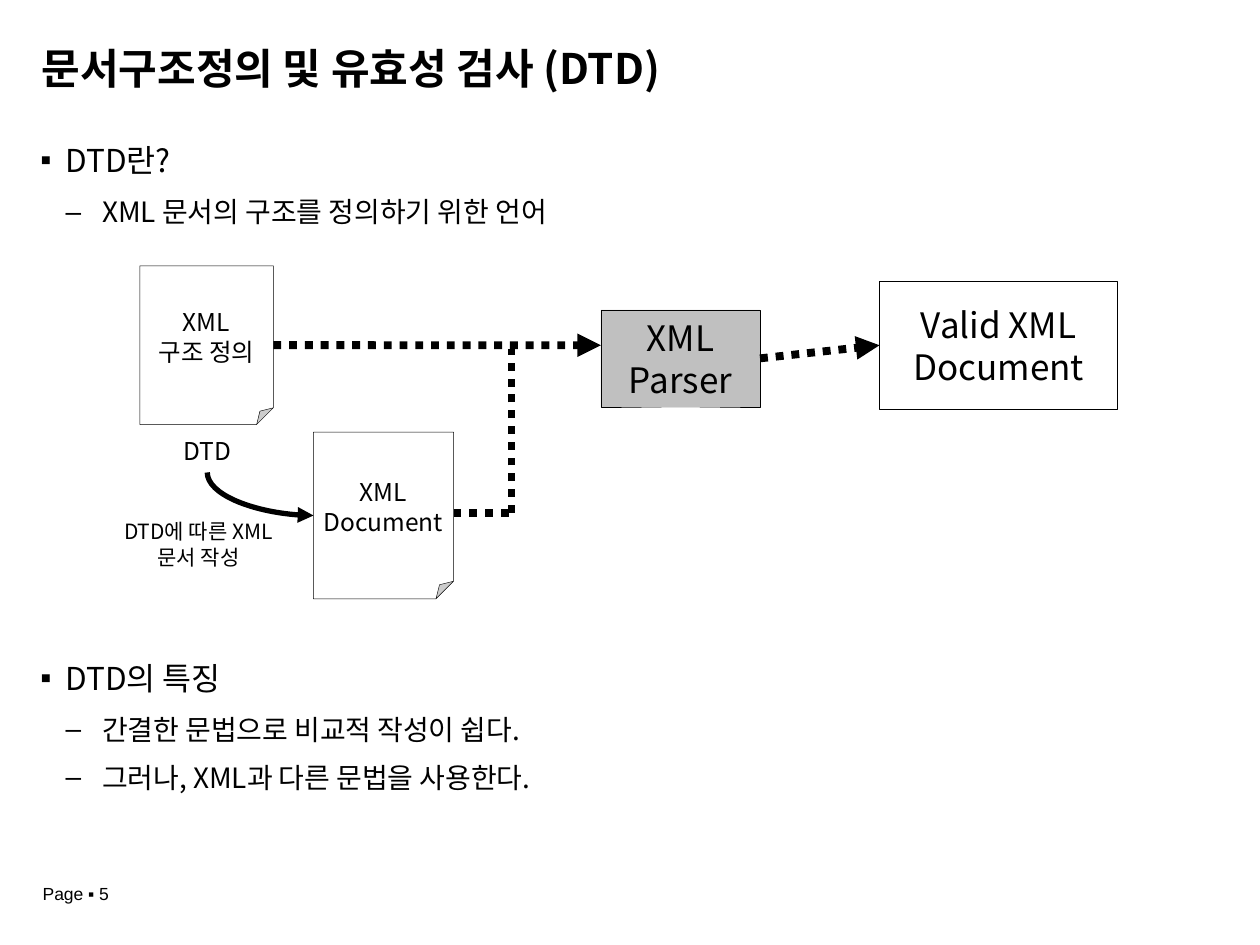
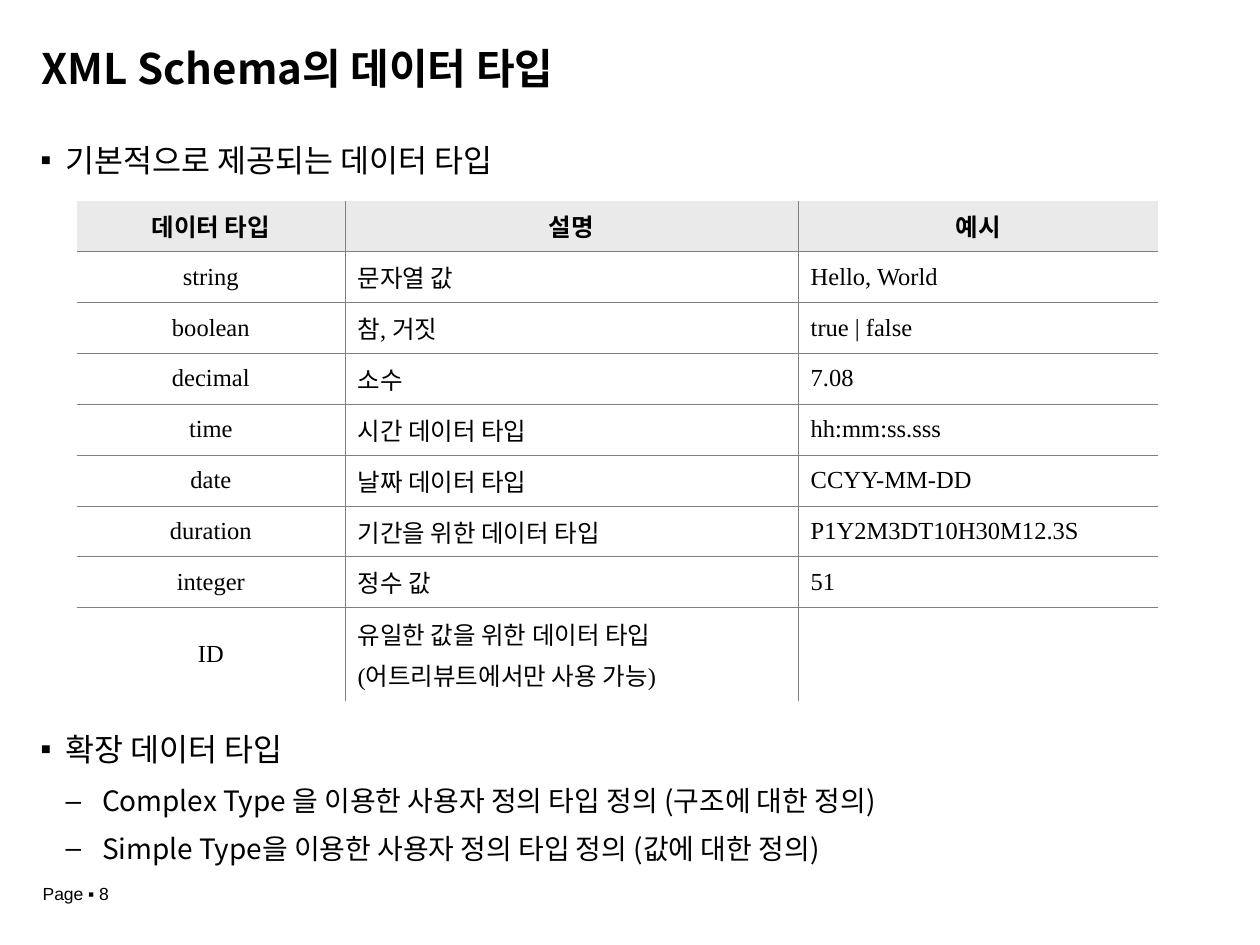
from dataclasses import dataclass
from typing import Optional

import pptx
import pptx.dml.color
import pptx.enum.dml
import pptx.enum.shapes
import pptx.enum.text
import pptx.oxml
import pptx.oxml.ns
import pptx.util
from lxml import etree

Pt = pptx.util.Pt
RGBColor = pptx.dml.color.RGBColor
SHAPE = pptx.enum.shapes.MSO_SHAPE
LINK = pptx.enum.shapes.MSO_CONNECTOR
ALIGN = pptx.enum.text.PP_ALIGN
ANCHOR = pptx.enum.text.MSO_ANCHOR
qn = pptx.oxml.ns.qn

# Shared look
BLACK = RGBColor(0, 0, 0)
WHITE = RGBColor(255, 255, 255)
PARSER_GRAY = RGBColor(0xC0, 0xC0, 0xC0)
HEADER_GRAY = RGBColor(0xEA, 0xEA, 0xEA)
GRID_GRAY = RGBColor(0x80, 0x80, 0x80)
KOREAN = "Noto Sans CJK KR"
SERIF = "Times New Roman"
SANS = "Arial"
BODY_LEFT, BODY_TOP, BODY_WIDTH = 23.04, 80.64, 671
LEFT, RIGHT = 1, 3


@dataclass
class Level:
    bullet: str
    size: float
    margin: float
    hanging: float
    after: float


LEVELS = (Level("▪", 18, 14.4, 14.4, 9), Level("–", 16, 35.3, 20.9, 8))


@dataclass
class Box:
    """A labelled node of the diagram; a box without a kind is plain text."""
    lines: tuple
    left: float
    top: float
    width: float
    height: float
    size: float
    kind: Optional[SHAPE] = None
    fill: RGBColor = WHITE
    anchor: ANCHOR = ANCHOR.MIDDLE
    wrap: bool = False


@dataclass
class Arrow:
    start: tuple
    end: tuple
    head: bool = True
    start_box: Optional[str] = None
    end_box: Optional[str] = None


def add_run(p, text: str, size: float, font: str = KOREAN, bold: bool = False) -> None:
    r = p.add_run()
    r.text = text
    r.font.size, r.font.name, r.font.bold = Pt(size), font, bold
    r.font.color.rgb = BLACK
    etree.SubElement(r.font._element, qn("a:ea")).set("typeface", KOREAN)


def next_paragraph(tf, index: int):
    return tf.add_paragraph() if index else tf.paragraphs[0]


def set_margins(tf, x: float, y: float) -> None:
    tf.margin_left = tf.margin_right = Pt(x)
    tf.margin_top = tf.margin_bottom = Pt(y)


def add_page(prs, title: str, number: int):
    s = prs.slides.add_slide(prs.slide_layouts[5])
    sp = s.shapes.title
    sp.left, sp.top, sp.width, sp.height = Pt(23.76), Pt(23.76), Pt(671), Pt(35.3)
    tf = sp.text_frame
    tf.auto_size = pptx.enum.text.MSO_AUTO_SIZE.NONE
    tf.vertical_anchor = ANCHOR.TOP
    set_margins(tf, 0, 3.6)
    p = tf.paragraphs[0]
    p.alignment, p.line_spacing = ALIGN.LEFT, 0.9
    add_run(p, title, 24, bold=True)

    # Page number
    tf = s.shapes.add_textbox(Pt(17.28), Pt(501.1), Pt(106), Pt(19.4)).text_frame
    tf.word_wrap = True
    add_run(tf.paragraphs[0], f"Page ▪ {number}", 10, SANS)
    return s


def add_bullets(s, top: float, height: float, items: list) -> None:
    """Draw (level, text) items as one bulleted block."""
    tf = s.shapes.add_textbox(Pt(BODY_LEFT), Pt(top), Pt(BODY_WIDTH), Pt(height)).text_frame
    tf.word_wrap = True
    set_margins(tf, 0, 0)
    for i, (depth, text) in enumerate(items):
        level = LEVELS[depth]
        p = next_paragraph(tf, i)
        p.level, p.space_after = depth, Pt(level.after)
        pPr = p._p.get_or_add_pPr()
        pPr.set("marL", str(Pt(level.margin)))
        pPr.set("indent", str(-Pt(level.hanging)))
        etree.SubElement(pPr, qn("a:buFont")).set("typeface", SANS)
        etree.SubElement(pPr, qn("a:buChar")).set("char", level.bullet)
        add_run(p, text, level.size)


def set_fold(sp, share: float) -> None:
    """Set the size of a folded corner, as a share of the shorter side."""
    guides = sp._element.spPr.find(qn("a:prstGeom")).get_or_add_avLst()
    for guide in list(guides):
        guides.remove(guide)
    guide = etree.SubElement(guides, qn("a:gd"))
    guide.set("name", "adj")
    guide.set("fmla", f"val {round(share * 100000)}")


def add_box(s, box: Box):
    frame = Pt(box.left), Pt(box.top), Pt(box.width), Pt(box.height)
    if box.kind is None:
        sp = s.shapes.add_textbox(*frame)
    else:
        sp = s.shapes.add_shape(box.kind, *frame)
        sp.shadow.inherit = False
        sp.fill.solid()
        sp.fill.fore_color.rgb = box.fill
        sp.line.color.rgb, sp.line.width = BLACK, Pt(0.25)
        if box.kind == SHAPE.FOLDED_CORNER:
            set_fold(sp, 0.125)
    tf = sp.text_frame
    tf.word_wrap, tf.vertical_anchor = box.wrap, box.anchor
    set_margins(tf, 7.2, 3.6)
    for i, line in enumerate(box.lines):
        p = next_paragraph(tf, i)
        p.alignment = ALIGN.CENTER
        add_run(p, line, box.size)
    return sp


def add_link(s, kind: LINK, start: tuple, end: tuple, width: float, head: bool):
    c = s.shapes.add_connector(kind, *(Pt(v) for v in start + end))
    c.line.color.rgb, c.line.width = BLACK, Pt(width)
    if head:
        etree.SubElement(c.line._get_or_add_ln(), qn("a:tailEnd")).set("type", "triangle")
    etree.SubElement(c._element.spPr, qn("a:effectLst"))
    return c


def add_dotted_arrow(s, arrow: Arrow, shapes: dict) -> None:
    c = add_link(s, LINK.STRAIGHT, arrow.start, arrow.end, 4.5, arrow.head)
    c.line.dash_style = pptx.enum.dml.MSO_LINE.ROUND_DOT
    if arrow.start_box:
        c.begin_connect(shapes[arrow.start_box], RIGHT)
    if arrow.end_box:
        c.end_connect(shapes[arrow.end_box], LEFT)


def add_quarter_curve(s, start: tuple, end: tuple) -> None:
    """Curve that leaves downwards and arrives from the left."""
    c = add_link(s, LINK.CURVE, start, end, 3, True)
    across, down = end[0] - start[0], end[1] - start[1]
    c.left = Pt((start[0] + end[0] - down) / 2)
    c.top = Pt((start[1] + end[1] - across) / 2)
    c.width, c.height = Pt(down), Pt(across)
    spPr = c._element.spPr
    spPr.find(qn("a:xfrm")).set("rot", str(270 * 60000))
    spPr.find(qn("a:xfrm")).set("flipH", "1")
    spPr.find(qn("a:prstGeom")).set("prst", "curvedConnector2")


def set_border(cell, side: str, visible: bool) -> None:
    ln = etree.SubElement(cell._tc.get_or_add_tcPr(), qn(f"a:ln{side}"))
    ln.set("w", str(Pt(0.45)))
    if visible:
        fill = etree.SubElement(ln, qn("a:solidFill"))
        etree.SubElement(fill, qn("a:srgbClr")).set("val", str(GRID_GRAY))
    else:
        etree.SubElement(ln, qn("a:noFill"))


def add_type_table(s, rows: list) -> None:
    widths = (153.2, 259, 205.8)
    heights = [29.1] * (len(rows) - 1) + [53.2]
    table = s.shapes.add_table(len(rows), len(widths), Pt(43.9), Pt(114.6),
                               Pt(sum(widths)), Pt(sum(heights))).table
    table.first_row = table.horz_banding = False
    for column, width in zip(table.columns, widths):
        column.width = Pt(width)
    for y, (row, height) in enumerate(zip(rows, heights)):
        table.rows[y].height = Pt(height)
        for x, text in enumerate(row):
            cell = table.cell(y, x)
            cell.vertical_anchor = ANCHOR.MIDDLE
            set_margins(cell, 7.2, 3.6)
            # Only the inner grid lines show
            for side, visible in (("L", x > 0), ("R", x < len(widths) - 1),
                                  ("T", y > 0), ("B", y < len(rows) - 1)):
                set_border(cell, side, visible)
            if y == 0:
                cell.fill.solid()
                cell.fill.fore_color.rgb = HEADER_GRAY
            else:
                cell.fill.background()
            for i, line in enumerate(text.splitlines()):
                p = next_paragraph(cell.text_frame, i)
                p.alignment = ALIGN.CENTER if y == 0 or x == 0 else ALIGN.LEFT
                if i:
                    p.space_before = Pt(3.5)
                add_run(p, line, 14, SERIF, bold=y == 0)


def build_dtd_slide(prs) -> None:
    s = add_page(prs, "문서구조정의 및 유효성 검사 (DTD)", 5)
    add_bullets(s, BODY_TOP, 60, [(0, "DTD란?"), (1, "XML 문서의 구조를 정의하기 위한 언어")])
    add_bullets(s, 376.6, 90, [
        (0, "DTD의 특징"),
        (1, "간결한 문법으로 비교적 작성이 쉽다."),
        (1, "그러나, XML과 다른 문법을 사용한다."),
    ])

    # Validation diagram
    boxes = {
        "document": Box(("XML", "Document"), 179.1, 247, 80.1, 95.2, 14, SHAPE.FOLDED_CORNER),
        "parser": Box(("XML Parser",), 343.4, 177.1, 90.9, 55.4, 20, SHAPE.RECTANGLE,
                      PARSER_GRAY, ANCHOR.TOP, True),
        "definition": Box(("XML", "구조 정의"), 79.9, 151.9, 76.3, 90.7, 14, SHAPE.FOLDED_CORNER),
        "valid": Box(("Valid XML", "Document"), 502.6, 160.6, 136.1, 73.4, 20, SHAPE.RECTANGLE),
        "dtd": Box(("DTD",), 96.5, 245.5, 43.9, 24.5, 14, anchor=ANCHOR.TOP),
        "note": Box(("DTD에 따른 XML 문서 작성",), 61.9, 293, 103, 36, 12,
                    anchor=ANCHOR.TOP, wrap=True),
    }
    shapes = {name: add_box(s, box) for name, box in boxes.items()}

    main_y, branch_y, branch_x = 197.3, 293, 292.3
    for arrow in (
        Arrow((434.3, 204.8), (502.6, main_y), start_box="parser", end_box="valid"),
        Arrow((156.2, main_y), (343.4, main_y), start_box="definition"),
        Arrow((259.2, branch_y), (branch_x, branch_y), head=False),
        Arrow((branch_x, branch_y), (branch_x, 199.4), head=False),
    ):
        add_dotted_arrow(s, arrow, shapes)
    add_quarter_curve(s, (118.4, 270), (179.1, 294.6))


def build_types_slide(prs) -> None:
    s = add_page(prs, "XML Schema의 데이터 타입", 8)
    add_bullets(s, BODY_TOP, 30, [(0, "기본적으로 제공되는 데이터 타입")])
    add_type_table(s, [
        ("데이터 타입", "설명", "예시"),
        ("string", "문자열 값", "Hello, World"),
        ("boolean", "참, 거짓", "true | false"),
        ("decimal", "소수", "7.08"),
        ("time", "시간 데이터 타입", "hh:mm:ss.sss"),
        ("date", "날짜 데이터 타입", "CCYY-MM-DD"),
        ("duration", "기간을 위한 데이터 타입", "P1Y2M3DT10H30M12.3S"),
        ("integer", "정수 값", "51"),
        ("ID", "유일한 값을 위한 데이터 타입\n(어트리뷰트에서만 사용 가능)", ""),
    ])
    add_bullets(s, 417.2, 90, [
        (0, "확장 데이터 타입"),
        (1, "Complex Type 을 이용한 사용자 정의 타입 정의 (구조에 대한 정의)"),
        (1, "Simple Type을 이용한 사용자 정의 타입 정의 (값에 대한 정의)"),
    ])


def main() -> None:
    prs = pptx.Presentation()
    prs.slide_width, prs.slide_height = Pt(720), Pt(540)
    build_dtd_slide(prs)
    build_types_slide(prs)
    prs.save("out.pptx")


if __name__ == "__main__":
    main()
